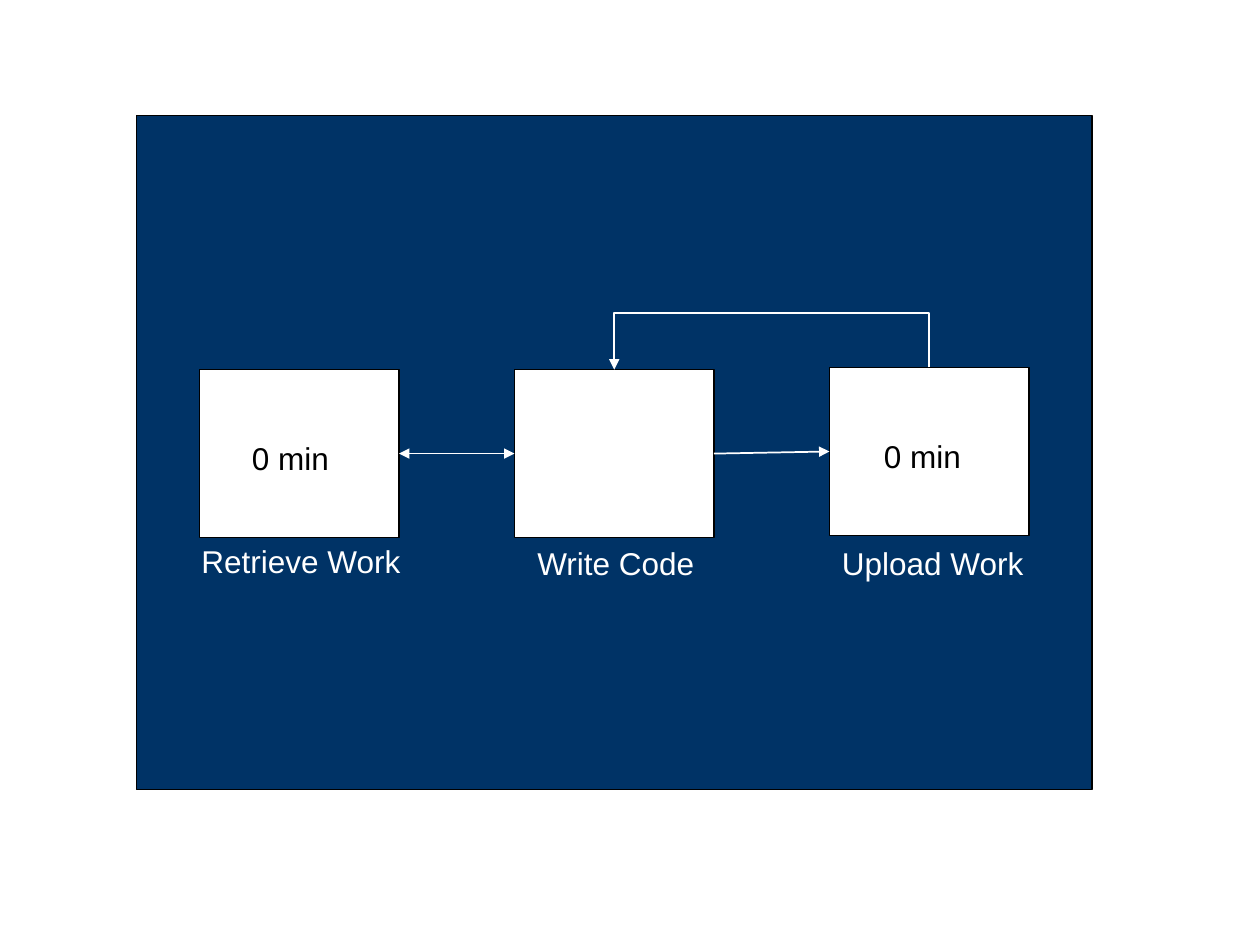
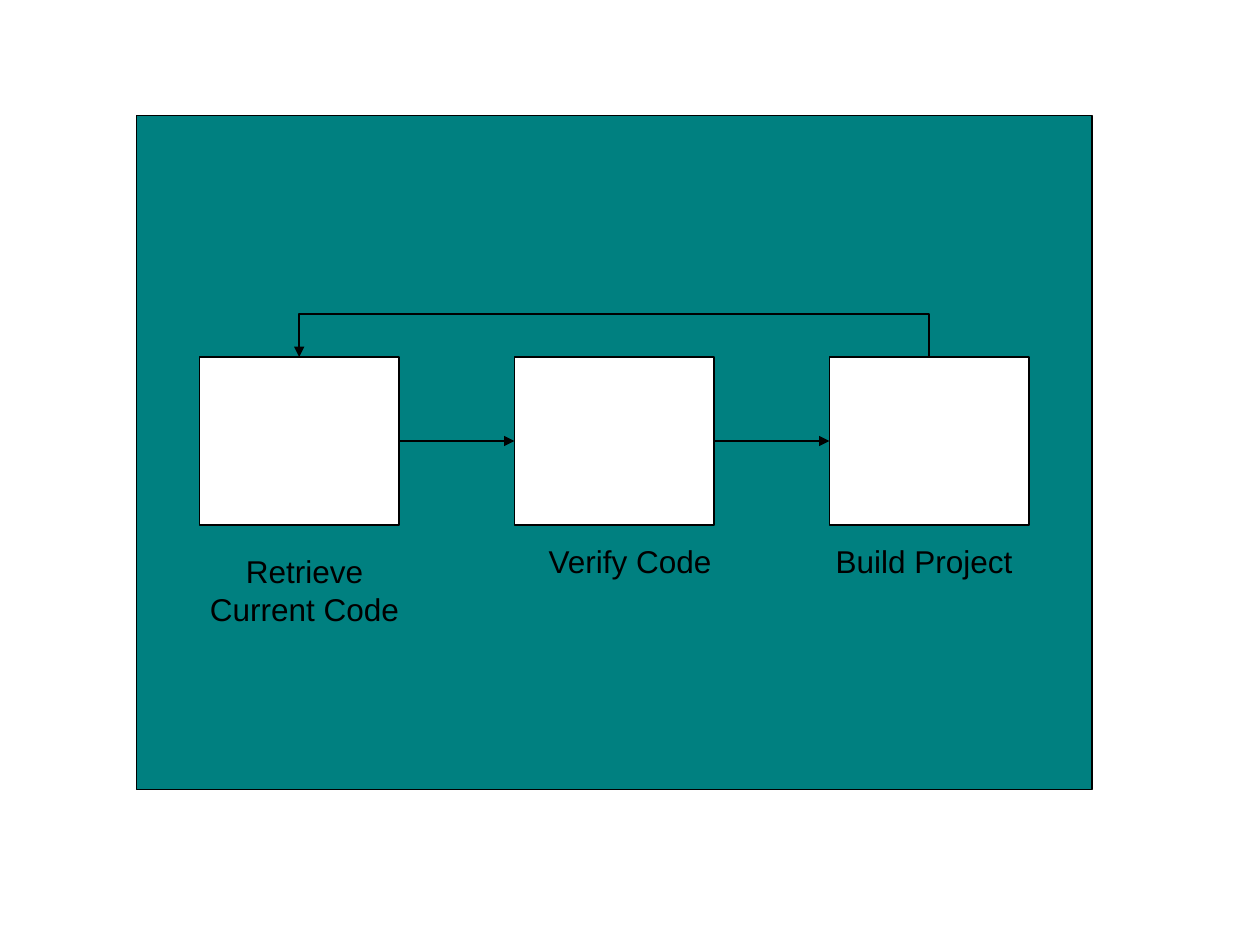
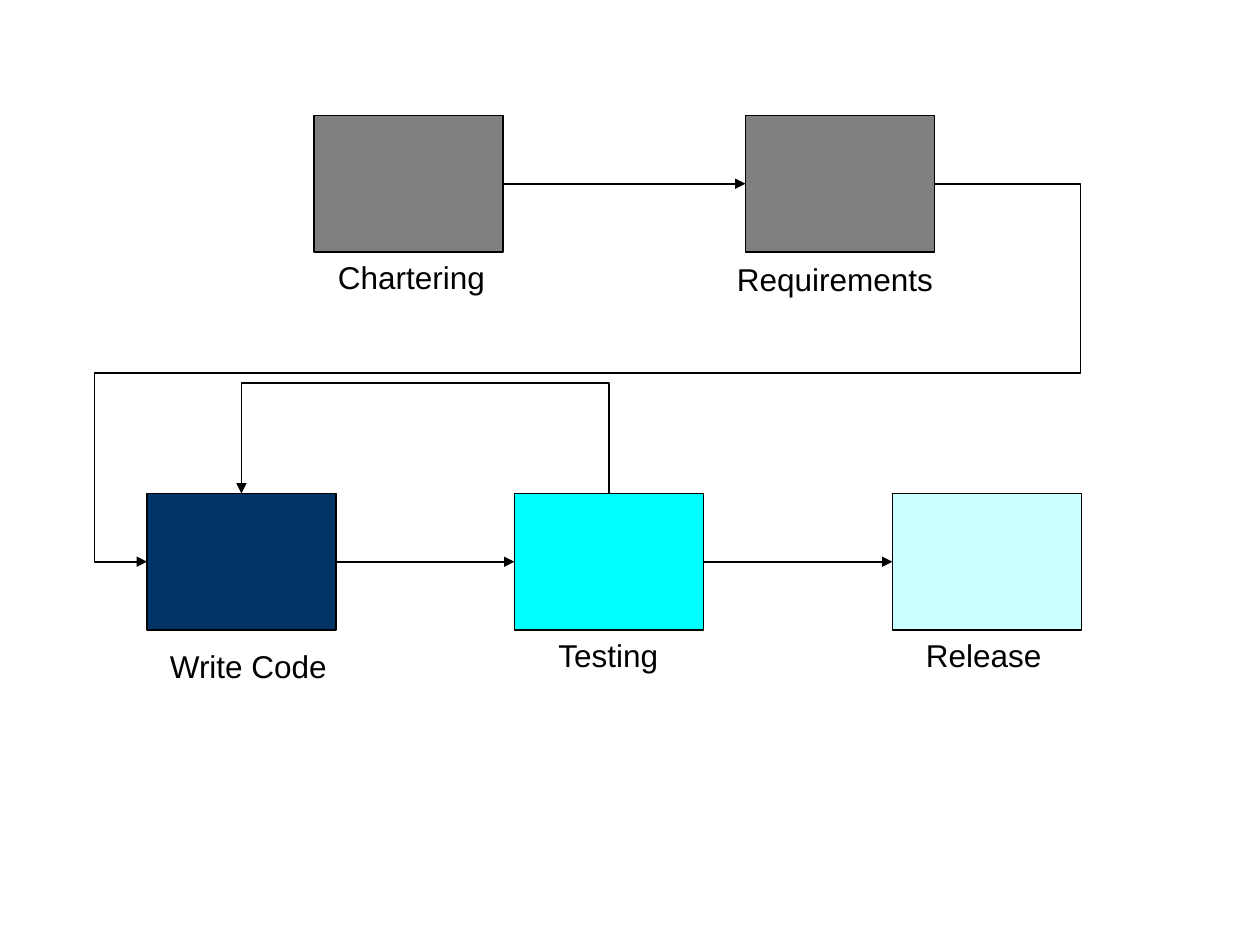
"""Builds three workflow diagrams on a grid of 120 columns by 90 rows."""
from lxml.etree import SubElement
from pptx import Presentation
from pptx.dml.color import RGBColor
from pptx.enum.shapes import MSO_CONNECTOR, MSO_SHAPE
from pptx.enum.text import PP_ALIGN
from pptx.oxml.ns import qn
from pptx.util import Inches, Pt

WHITE = RGBColor(0xFF, 0xFF, 0xFF)
BLACK = RGBColor(0, 0, 0)
NAVY = RGBColor(0, 0x33, 0x66)
TEAL = RGBColor(0, 0x80, 0x80)
GRAY = RGBColor(0x80, 0x80, 0x80)
CYAN = RGBColor(0, 0xFF, 0xFF)
PALE_CYAN = RGBColor(0xCC, 0xFF, 0xFF)

WIDTH, HEIGHT = Inches(10), Inches(7.5)
COLUMN, ROW = WIDTH / 120, HEIGHT / 90
PANEL = (13, 11, 91, 64.2)
STEP_SIZE, PHASE_SIZE = (19, 16), (18, 13)
LABEL_SIZE = (22, 4.8)

# Boxes: (column, row, fill). Labels: (text, column, row, colour).
# Links: (from box, to box, two-headed). Loops: (from box, to box, top row).
SLIDES = [
    dict(panel=NAVY, size=STEP_SIZE, ink=WHITE, align=PP_ALIGN.LEFT,
         boxes=[(19, 35.2, WHITE), (49, 35.2, WHITE), (79, 35, WHITE)],
         labels=[("Retrieve Work", 18, 51, WHITE),
                 ("Write Code", 50, 51.2, WHITE),
                 ("Upload Work", 79, 51.2, WHITE),
                 ("0 min", 22.8, 41.2, BLACK),
                 ("0 min", 83, 41, BLACK)],
         links=[(0, 1, True), (1, 2, False)],
         loops=[(2, 1, 29.8)], detours=[]),
    dict(panel=TEAL, size=STEP_SIZE, ink=BLACK, align=PP_ALIGN.CENTER,
         boxes=[(19, 34, WHITE), (49, 34, WHITE), (79, 34, WHITE)],
         labels=[("Retrieve Current Code", 18, 52, BLACK),
                 ("Verify Code", 49, 51, BLACK),
                 ("Build Project", 77, 51, BLACK)],
         links=[(0, 1, False), (1, 2, False)],
         loops=[(2, 0, 29.9)], detours=[]),
    dict(panel=None, size=PHASE_SIZE, ink=BLACK, align=PP_ALIGN.LEFT,
         boxes=[(29.9, 11, GRAY), (71, 11, GRAY), (14, 47, NAVY),
                (49, 47, CYAN), (85, 47, PALE_CYAN)],
         labels=[("Chartering", 31, 24, BLACK),
                 ("Requirements", 69, 24.2, BLACK),
                 ("Write Code", 15, 61, BLACK),
                 ("Testing", 52, 60, BLACK),
                 ("Release", 87, 60, BLACK)],
         links=[(0, 1, False), (2, 3, False), (3, 4, False)],
         loops=[(3, 2, 36.5)], detours=[(1, 2, 102.9, 9)]),
]


def emu(x, y):
    return round(x * COLUMN), round(y * ROW)


def add_box(s, place, fill):
    x, y, w, h = place
    box = s.shapes.add_shape(MSO_SHAPE.RECTANGLE, *emu(x, y), *emu(w, h))
    box.shadow.inherit = False
    box.fill.solid()
    box.fill.fore_color.rgb = fill
    box.line.color.rgb = BLACK
    box.line.width = Pt(0.75)


def add_label(s, text, x, y, color, align):
    tf = s.shapes.add_textbox(*emu(x, y), *emu(*LABEL_SIZE)).text_frame
    tf.word_wrap = True
    p = tf.paragraphs[0]
    p.text = text
    p.alignment = align
    p.font.name = "Arial"
    p.font.size = Pt(18)
    p.font.color.rgb = color


def add_arrow(s, points, color, two_headed=False):
    start, *rest = [emu(*point) for point in points]
    if len(rest) == 1:
        sp = s.shapes.add_connector(MSO_CONNECTOR.STRAIGHT, *start, *rest[0])
        SubElement(sp._element.spPr, qn("a:effectLst"))
    else:
        builder = s.shapes.build_freeform(*start)
        builder.add_line_segments(rest, close=False)
        sp = builder.convert_to_shape()
        sp.shadow.inherit = False
        sp.fill.background()
    sp.line.color.rgb = color
    sp.line.width = Pt(1)
    ln = sp.line._get_or_add_ln()
    for end in ["headEnd", "tailEnd"] if two_headed else ["tailEnd"]:
        SubElement(ln, qn(f"a:{end}"), type="triangle")


def draw(s, spec_):
    w, h = spec_["size"]
    ink = spec_["ink"]
    boxes = spec_["boxes"]

    def at(i, across, down):
        return boxes[i][0] + across * w, boxes[i][1] + down * h

    if spec_["panel"]:
        add_box(s, PANEL, spec_["panel"])
    for x, y, fill in boxes:
        add_box(s, (x, y, w, h), fill)
    for text, x, y, color in spec_["labels"]:
        add_label(s, text, x, y, color, spec_["align"])
    for a, b, two_headed in spec_["links"]:
        add_arrow(s, [at(a, 1, 0.5), at(b, 0, 0.5)], ink, two_headed)
    for a, b, top in spec_["loops"]:
        start, end = at(a, 0.5, 0), at(b, 0.5, 0)
        add_arrow(s, [start, (start[0], top), (end[0], top), end], ink)
    for a, b, right, left in spec_["detours"]:
        start, end = at(a, 1, 0.5), at(b, 0, 0.5)
        middle = (start[1] + end[1]) / 2
        add_arrow(s, [start, (right, start[1]), (right, middle),
                      (left, middle), (left, end[1]), end], ink)


def main():
    prs = Presentation()
    prs.slide_width, prs.slide_height = WIDTH, HEIGHT
    for diagram in SLIDES:
        draw(prs.slides.add_slide(prs.slide_layouts[6]), diagram)
    prs.save("out.pptx")


if __name__ == "__main__":
    main()
